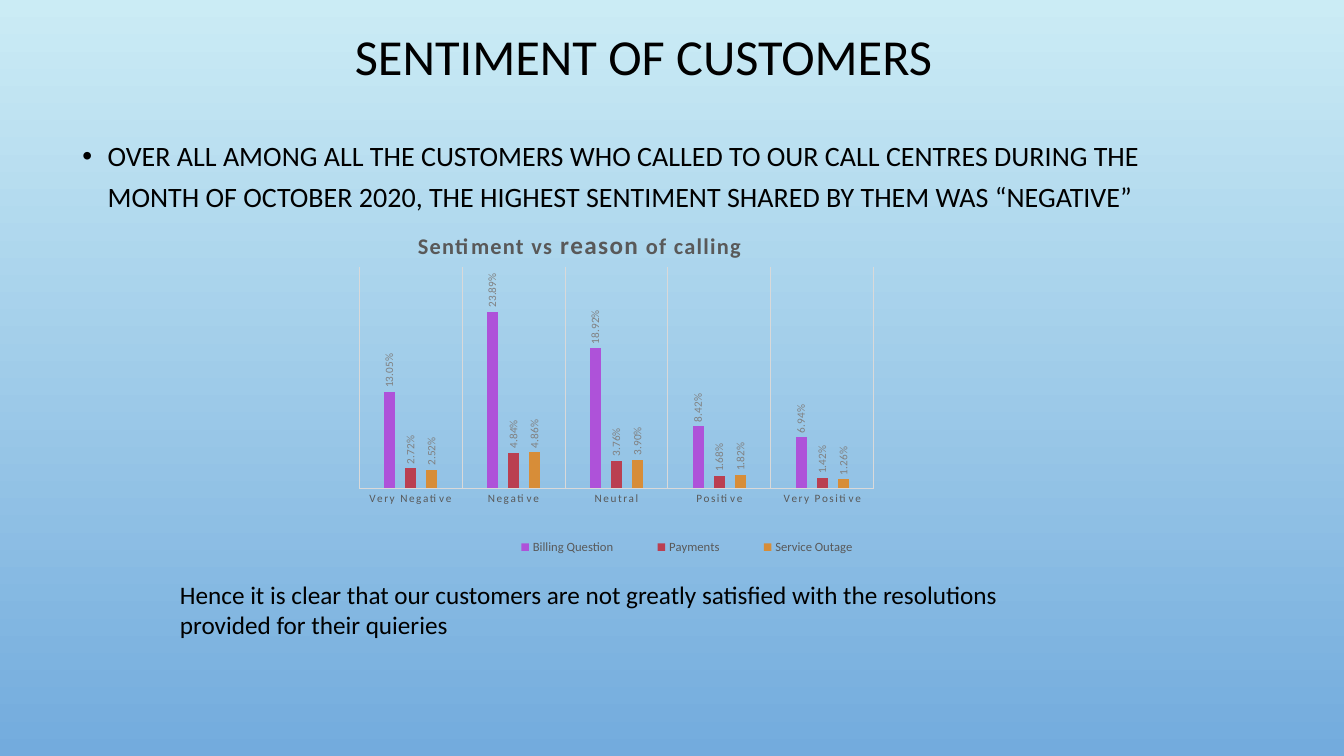
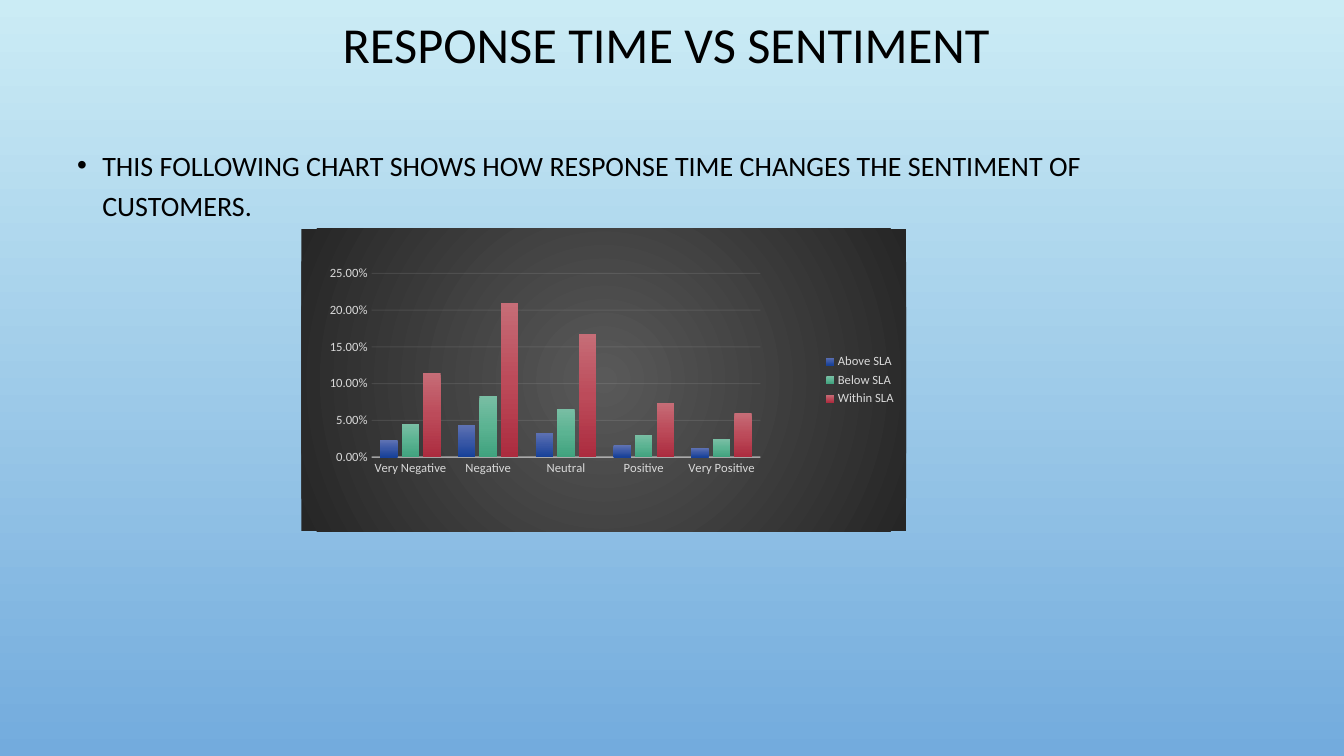
from lxml import etree
from pptx import Presentation
from pptx import util as u
from pptx.chart import data as chart_data
from pptx.dml.color import RGBColor
from pptx.enum import chart as ch, text as tx
from pptx.oxml import parse_xml
from pptx.oxml.ns import nsdecls, qn

PX = 9525
WIDTH, HEIGHT = 1280, 720
FONT = "Calibri"
PERCENT = "0.00%"

BLACK = RGBColor(0x00, 0x00, 0x00)
SKY_TOP = RGBColor(0xCB, 0xEC, 0xF5)
SKY_BOTTOM = RGBColor(0x73, 0xAB, 0xDD)
DARK_GREY = RGBColor(0x59, 0x59, 0x59)
MID_GREY = RGBColor(0x80, 0x80, 0x80)
LIGHT_GREY = RGBColor(0xD9, 0xD9, 0xD9)
NEAR_WHITE = RGBColor(0xF2, 0xF2, 0xF2)
CHARCOAL = RGBColor(0x26, 0x26, 0x26)
PURPLE = RGBColor(0xAE, 0x52, 0xD9)
RED = RGBColor(0xBA, 0x3F, 0x51)
ORANGE = RGBColor(0xD7, 0x8D, 0x38)
BLUES = [RGBColor(0x5E, 0x72, 0xB3), RGBColor(0x3A, 0x58, 0xA6), RGBColor(0x17, 0x41, 0x99)]
GREENS = [RGBColor(0x79, 0xBE, 0xA4), RGBColor(0x5B, 0xB3, 0x92), RGBColor(0x40, 0xA2, 0x7E)]
ROSES = [RGBColor(0xC6, 0x6D, 0x77), RGBColor(0xBC, 0x4B, 0x5A), RGBColor(0xAC, 0x2C, 0x3F)]

SENTIMENTS = ["Very Negative", "Negative", "Neutral", "Positive", "Very Positive"]


def gradient(colors, radial=False):
    """Return a gradFill with evenly spaced stops, downward or from the centre."""
    step = 100000 // (len(colors) - 1)
    stops = "".join(f'<a:gs pos="{i * step}"><a:srgbClr val="{color}"/></a:gs>'
                    for i, color in enumerate(colors))
    course = ('<a:path path="circle"><a:fillToRect l="50000" t="50000" r="50000" b="50000"/></a:path>'
              if radial else '<a:lin ang="5400000" scaled="0"/>')
    return parse_xml(f'<a:gradFill {nsdecls("a")} rotWithShape="1">'
                     f'<a:gsLst>{stops}</a:gsLst>{course}</a:gradFill>')


def swap_solid(properties, colors):
    properties.replace(properties.find(qn("a:solidFill")), gradient(colors))


def style_font(font, size, color, bold=False):
    font.name, font.size, font.bold = FONT, u.Pt(size), bold
    font.color.rgb = color


def style_line(line, color, width, opacity=100):
    line.color.rgb, line.width = color, u.Pt(width)
    if opacity < 100:
        srgb = line._get_or_add_ln().find(".//" + qn("a:srgbClr"))
        etree.SubElement(srgb, qn("a:alpha")).set("val", str(opacity * 1000))


def set_layout(part, x, y, w=None, h=None, inner=False):
    """Place a chart part at fractions of the chart area."""
    for old in part.findall(qn("c:layout")):
        part.remove(old)
    target = '<c:layoutTarget val="inner"/>' if inner else ""
    values = [("x", x), ("y", y), ("w", w), ("h", h)]
    modes = '<c:xMode val="edge"/><c:yMode val="edge"/>'
    sizes = "".join(f'<c:{key} val="{value}"/>' for key, value in values if value is not None)
    layout = parse_xml(f'<c:layout {nsdecls("c")}><c:manualLayout>{target}{modes}{sizes}'
                       '</c:manualLayout></c:layout>')
    leading = [child for child in part if child.tag in (qn("c:tx"), qn("c:legendPos"))]
    part.insert(len(leading), layout)


class Deck:
    def __init__(self):
        self.prs = Presentation()
        self.prs.slide_width, self.prs.slide_height = WIDTH * PX, HEIGHT * PX
        self.slide = None
        master = self.prs.slide_master
        master.background.fill.solid()
        master.background.fill.fore_color.rgb = SKY_TOP
        swap_solid(master.element.find(".//" + qn("p:bgPr")), [SKY_TOP, SKY_BOTTOM])

    def new_slide(self):
        self.slide = self.prs.slides.add_slide(self.prs.slide_layouts[6])

    def text(self, words, box, size, align=tx.PP_ALIGN.LEFT, anchor=tx.MSO_ANCHOR.TOP,
             spacing=1.0, before=0, bullet=False):
        frame = self.slide.shapes.add_textbox(*(side * PX for side in box)).text_frame
        frame.word_wrap, frame.vertical_anchor = True, anchor
        paragraph = frame.paragraphs[0]
        paragraph.alignment, paragraph.line_spacing = align, spacing
        paragraph.space_before = u.Pt(before)
        run = paragraph.add_run()
        run.text = words
        style_font(run.font, size, BLACK)
        if bullet:
            properties = paragraph._p.get_or_add_pPr()
            properties.set("marL", str(24 * PX))
            properties.set("indent", str(-24 * PX))
            etree.SubElement(properties, qn("a:buFont")).set("typeface", "Arial")
            etree.SubElement(properties, qn("a:buChar")).set("char", "•")

    def title(self, words, box):
        self.text(words, box, 36, align=tx.PP_ALIGN.CENTER,
                  anchor=tx.MSO_ANCHOR.MIDDLE, spacing=0.9)

    def bullet(self, words, box):
        self.text(words, box, 20, spacing=1.2, before=10, bullet=True)

    def columns(self, box, series, plot_area, gap, overlap, top, text_color, axis_size):
        """Add a clustered column chart; series holds (name, values, colour or colours)."""
        data = chart_data.CategoryChartData(number_format=PERCENT)
        data.categories = SENTIMENTS
        for name, values, _ in series:
            data.add_series(name, values)
        chart = self.slide.shapes.add_chart(
            ch.XL_CHART_TYPE.COLUMN_CLUSTERED, *(side * PX for side in box), data).chart
        style_font(chart.font, 10, BLACK)
        chart.has_title = False
        plot = chart.plots[0]
        plot.gap_width, plot.overlap, plot.vary_by_categories = gap, overlap, False
        set_layout(chart._chartSpace.chart.plotArea, *plot_area, inner=True)
        for bars, (_, _, color) in zip(plot.series, series):
            shades = color if isinstance(color, list) else [color]
            bars.format.fill.solid()
            bars.format.fill.fore_color.rgb = shades[0]
            if len(shades) > 1:
                swap_solid(bars._element.find(qn("c:spPr")), shades)
        chart.has_legend = True
        chart.legend.position = ch.XL_LEGEND_POSITION.RIGHT
        chart.legend.include_in_layout = False
        style_font(chart.legend.font, 9, text_color)
        style_font(chart.category_axis.tick_labels.font, axis_size, text_color)
        for axis in (chart.category_axis, chart.value_axis):
            axis.major_tick_mark = axis.minor_tick_mark = ch.XL_TICK_MARK.NONE
        chart.value_axis.minimum_scale, chart.value_axis.maximum_scale = 0, top
        return chart

    def chart_title(self, chart, parts, x, y):
        """Write a spaced bold title from (words, size) parts."""
        chart.has_title = True
        paragraph = chart.chart_title.text_frame.paragraphs[0]
        for words, size in parts:
            run = paragraph.add_run()
            run.text = words
            style_font(run.font, size, DARK_GREY, bold=True)
            run._r.get_or_add_rPr().set("spc", "100")
        set_layout(chart.chart_title._element, x, y)

    def upright_labels(self, chart):
        for bars in chart.plots[0].series:
            labels = bars.data_labels
            labels.show_value = True
            labels.position = ch.XL_LABEL_POSITION.OUTSIDE_END
            labels.number_format, labels.number_format_is_linked = PERCENT, False
            style_font(labels.font, 8, MID_GREY)
            body = labels._element.find(".//" + qn("a:bodyPr"))
            body.set("rot", "-5400000")
            body.set("vert", "horz")


def sentiment_slide(deck):
    deck.new_slide()
    deck.title("SENTIMENT OF CUSTOMERS", (69, 22, 1088, 69))
    deck.bullet("OVER ALL AMONG ALL THE CUSTOMERS WHO CALLED TO OUR CALL CENTRES DURING THE "
                "MONTH OF OCTOBER 2020, THE HIGHEST SENTIMENT SHARED BY THEM WAS “NEGATIVE”",
                (69, 121, 1088, 84))
    reasons = [
        ("Billing Question", (0.1305, 0.2389, 0.1892, 0.0842, 0.0694), PURPLE),
        ("Payments", (0.0272, 0.0484, 0.0376, 0.0168, 0.0142), RED),
        ("Service Outage", (0.0252, 0.0486, 0.039, 0.0182, 0.0126), ORANGE),
    ]
    chart = deck.columns((275, 201, 632, 337), reasons, (0.106, 0.157, 0.776, 0.627),
                         gap=444, overlap=-90, top=0.3, text_color=DARK_GREY, axis_size=8)
    deck.chart_title(chart, [("Sentiment vs ", 16), ("reason", 18), (" of calling", 16)], 0.19, 0.04)
    deck.upright_labels(chart)
    chart.value_axis.has_major_gridlines = False
    chart.value_axis.visible = False
    reason_axis = chart.category_axis
    reason_axis.has_major_gridlines = True
    for line in (reason_axis.format.line, reason_axis.major_gridlines.format.line):
        style_line(line, LIGHT_GREY, 0.75)
    reason_axis._element.find(".//" + qn("a:defRPr")).set("spc", "100")
    set_layout(chart.legend._element, 0.29, 0.91, 0.62, 0.08)
    deck.text("Hence it is clear that our customers are not greatly satisfied with the resolutions "
              "provided for their quieries", (162, 547, 885, 68), 18)


def response_slide(deck):
    deck.new_slide()
    deck.title("RESPONSE TIME VS SENTIMENT ", (96, 13, 1088, 64))
    deck.bullet("THIS FOLLOWING CHART SHOWS HOW RESPONSE TIME CHANGES THE SENTIMENT OF CUSTOMERS.",
                (64, 130, 1088, 84))
    levels = [
        ("Above SLA", (0.023, 0.043, 0.033, 0.016, 0.012), BLUES),
        ("Below SLA", (0.045, 0.083, 0.066, 0.03, 0.024), GREENS),
        ("Within SLA", (0.115, 0.21, 0.167, 0.074, 0.06), ROSES),
    ]
    chart = deck.columns((287, 218, 576, 288), levels, (0.116, 0.147, 0.643, 0.608),
                         gap=100, overlap=-24, top=0.25, text_color=LIGHT_GREY, axis_size=9)
    style_line(chart.category_axis.format.line, NEAR_WHITE, 1, opacity=54)
    share_axis = chart.value_axis
    share_axis.major_unit = 0.05
    share_axis.format.line.fill.background()
    style_line(share_axis.major_gridlines.format.line, NEAR_WHITE, 0.75, opacity=10)
    style_font(share_axis.tick_labels.font, 9, LIGHT_GREY)
    share_axis.tick_labels.number_format = PERCENT
    share_axis.tick_labels.number_format_is_linked = False
    panel = parse_xml(f'<c:spPr {nsdecls("c", "a")}><a:ln><a:noFill/></a:ln></c:spPr>')
    panel.insert(0, gradient([DARK_GREY, CHARCOAL], radial=True))
    chart._chartSpace.find(qn("c:txPr")).addprevious(panel)


def main():
    deck = Deck()
    sentiment_slide(deck)
    response_slide(deck)
    deck.prs.save("out.pptx")


if __name__ == "__main__":
    main()
